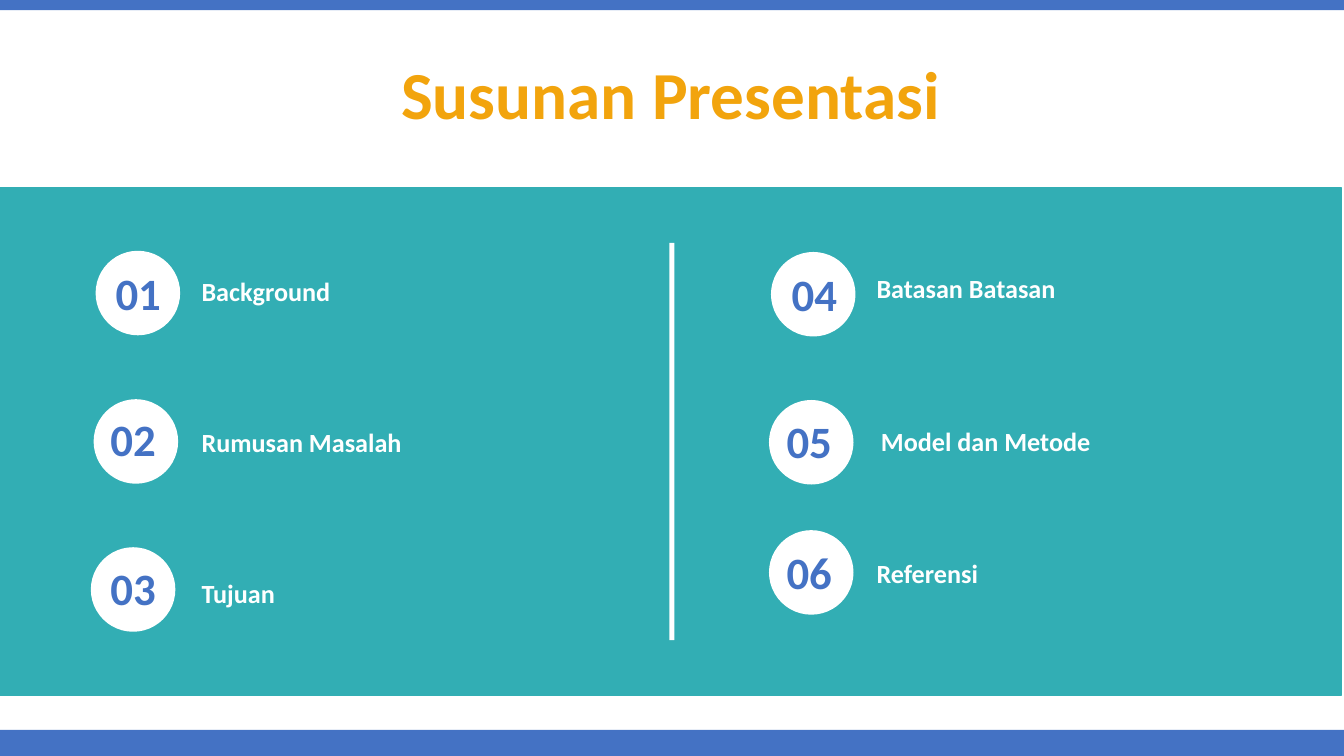
from pptx import Presentation
from pptx.dml.color import RGBColor
from pptx.enum.shapes import MSO_SHAPE
from pptx.enum.text import MSO_ANCHOR, PP_ALIGN
from pptx.util import Cm, Pt

COLORS = {"blue": "4472C4", "teal": "32AEB4", "orange": "F2A40D", "white": "FFFFFF"}


def set_text(sp, text, size, color, align=PP_ALIGN.LEFT, anchor=MSO_ANCHOR.TOP):
    tf = sp.text_frame
    tf.word_wrap = True
    tf.vertical_anchor = anchor
    p = tf.paragraphs[0]
    p.alignment = align
    r = p.add_run()
    r.text = text
    r.font.name = "Calibri"
    r.font.size = Pt(size)
    r.font.bold = True
    r.font.color.rgb = RGBColor.from_string(COLORS[color])
    return p


def add_block(kind, color, *box):
    sp = slide.shapes.add_shape(kind, *map(Cm, box))
    sp.shadow.inherit = False
    sp.fill.solid()
    sp.fill.fore_color.rgb = RGBColor.from_string(COLORS[color])
    sp.line.fill.background()
    return sp


prs = Presentation()
prs.slide_width, prs.slide_height = Cm(33.87), Cm(19.05)
slide = prs.slides.add_slide(prs.slide_layouts[5])

title = slide.shapes.title
title.left, title.top, title.width, title.height = Cm(-0.03), Cm(1.4), Cm(33.87), Cm(2.13)
p = set_text(title, "Susunan Presentasi", 48, "orange", PP_ALIGN.CENTER, MSO_ANCHOR.MIDDLE)
p.line_spacing = 0.9
p.space_before = Pt(0)

add_block(MSO_SHAPE.RECTANGLE, "blue", 0, 18.39, 33.87, 0.66)
add_block(MSO_SHAPE.RECTANGLE, "blue", 0, 0, 33.87, 0.26)
panel = add_block(MSO_SHAPE.RECTANGLE, "teal", -0.07, 4.72, 33.87, 12.8)
panel.line.color.rgb = RGBColor.from_string(COLORS["teal"])
panel.line.width = Pt(1)
add_block(MSO_SHAPE.RECTANGLE, "white", 16.87, 6.12, 0.13, 10.01)

agenda = [
    ("Background", (2.41, 6.32), (2.29, 6.58), (4.83, 6.81)),
    ("Rumusan Masalah", (2.36, 10.06), (2.16, 10.26), (4.83, 10.62)),
    ("Tujuan", (2.29, 13.79), (2.16, 14), (4.83, 14.43)),
    ("Batasan Batasan", (19.43, 6.35), (19.33, 6.6), (21.84, 6.73)),
    ("Model dan Metode", (19.38, 10.08), (19.2, 10.29), (21.95, 10.59)),
    ("Referensi", (19.38, 13.36), (19.2, 13.61), (21.84, 13.92)),
]
for i, (topic, circle_at, number_at, topic_at) in enumerate(agenda, 1):
    add_block(MSO_SHAPE.OVAL, "white", *circle_at, 2.13, 2.13)
    number = slide.shapes.add_textbox(*map(Cm, number_at), Cm(2.39), Cm(1.63))
    set_text(number, f"{i:02}", 32, "blue", align=PP_ALIGN.CENTER)
    label = slide.shapes.add_textbox(*map(Cm, topic_at), Cm(9.86), Cm(1.07))
    set_text(label, topic, 18.7, "white")

prs.save("out.pptx")
